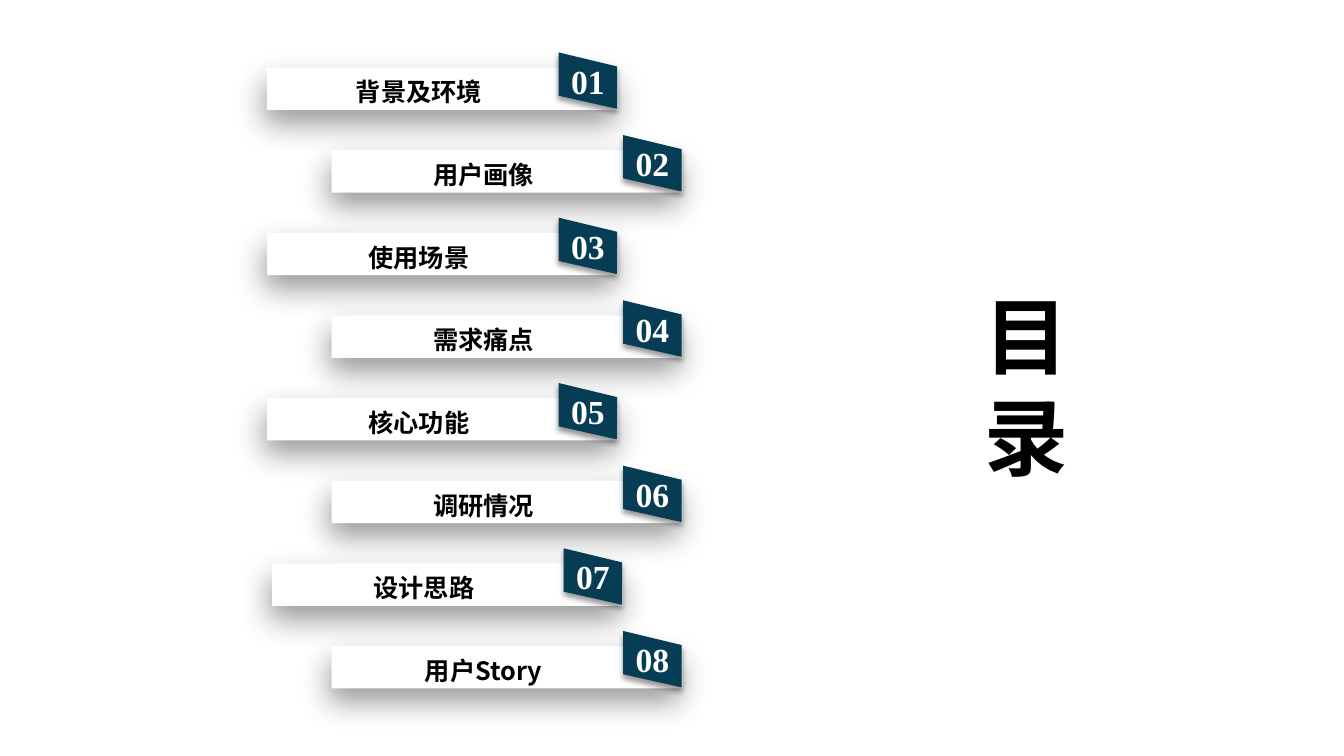
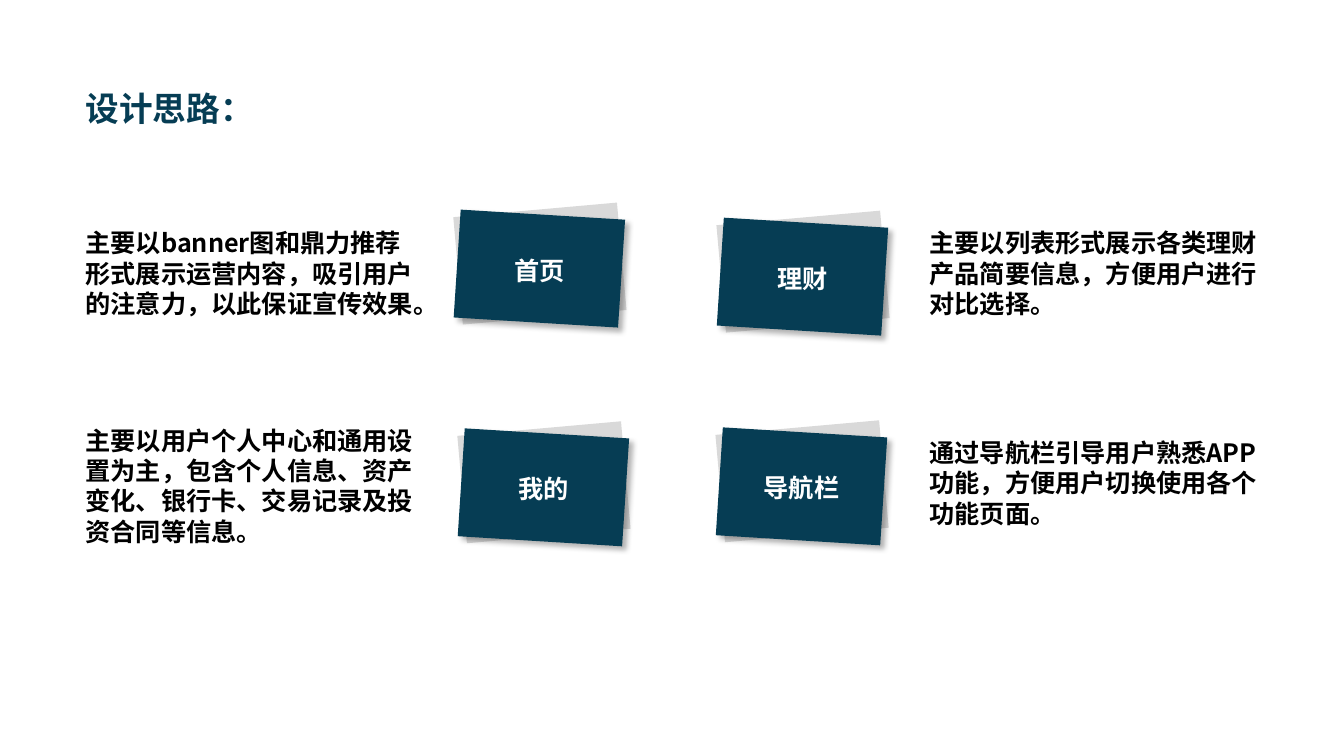
from lxml import etree
from pptx import Presentation
from pptx.dml.color import RGBColor
from pptx.enum.lang import MSO_LANGUAGE_ID
from pptx.enum.shapes import MSO_SHAPE
from pptx.enum.text import MSO_ANCHOR, MSO_AUTO_SIZE, PP_ALIGN
from pptx.oxml.ns import qn
from pptx.util import Pt

RECT = MSO_SHAPE.RECTANGLE
LEFT, CENTER = PP_ALIGN.LEFT, PP_ALIGN.CENTER
TOP, MIDDLE = MSO_ANCHOR.TOP, MSO_ANCHOR.MIDDLE
FIXED, GROW = MSO_AUTO_SIZE.NONE, MSO_AUTO_SIZE.SHAPE_TO_FIT_TEXT
CHINESE = MSO_LANGUAGE_ID.SIMPLIFIED_CHINESE

PX = 9144
SANS, SERIF = "Noto Sans CJK SC", "Times New Roman"
COLORS = {"navy": "063D54", "grey": "D9D9D9", "white": "FFFFFF", "black": "000000"}
SHADES = {
    "bar": (40, 22, 10, 101),
    "tag": (40, 4, 3, 90),
    "card": (30, 4, 4, 45),
    "title": (40, 4, 4, 45),
}
INSETS = (10, 5, 10, 5)
TAG = [(0, 0), (0, 43), (58, 56), (58, 14)]
CARD = [(163, 117), (0, 107), (7, 0), (170, 10)]

TOPICS = [
    (265, "背景及环境"), (329, "用户画像"), (265, "使用场景"), (329, "需求痛点"),
    (265, "核心功能"), (329, "调研情况"), (270, "设计思路"), (329, "用户Story"),
]
CARDS = [(450, 208, "首页"), (711, 216, "理财"), (454, 425, "我的"), (710, 424, "导航栏")]
NOTES = [
    (75, 221, 101, "主要以banner图和鼎力推荐形式展示运营内容，吸引用户的注意力，以此保证宣传效果。"),
    (912, 221, 101, "主要以列表形式展示各类理财产品简要信息，方便用户进行对比选择。"),
    (75, 417, 131, "主要以用户个人中心和通用设置为主，包含个人信息、资产变化、银行卡、交易记录及投资合同等信息。"),
    (912, 429, 101, "通过导航栏引导用户熟悉APP功能，方便用户切换使用各个功能页面。"),
]


def color(name):
    return RGBColor.from_string(COLORS[name])


def box(*sides):
    return [side * PX for side in sides]


def cast(effects, kind):
    alpha, blur, gap, angle = SHADES[kind]
    outer = etree.SubElement(
        effects, qn("a:outerShdw"), blurRad=str(blur * 12700), dist=str(gap * 12700),
        dir=str(angle * 60000), algn="ctr", rotWithShape="0")
    tone = etree.SubElement(outer, qn("a:srgbClr"), val=COLORS["black"])
    etree.SubElement(tone, qn("a:alpha"), val=str(alpha * 1000))


def paint(shape, fill, shade=None):
    shape.fill.solid()
    shape.fill.fore_color.rgb = color(fill)
    shape.line.fill.background()
    shape.shadow.inherit = False
    if shade:
        cast(shape.element.spPr.find(qn("a:effectLst")), shade)


def write(shape, text, size, tint, font=SANS, align=CENTER, anchor=MIDDLE,
          space=1.0, insets=INSETS, wrap=True, fit=FIXED):
    frame = shape.text_frame
    frame.text = text
    frame.word_wrap = wrap
    frame.auto_size = fit
    frame.vertical_anchor = anchor
    (frame.margin_left, frame.margin_top,
     frame.margin_right, frame.margin_bottom) = box(*insets)
    para = frame.paragraphs[0]
    para.alignment = align
    para.line_spacing = space
    run = para.runs[0]
    run.font.size = Pt(size)
    run.font.bold = True
    run.font.language_id = CHINESE
    run.font.color.rgb = color(tint)
    run.font.name = font
    latin = run.font._element.find(qn("a:latin"))
    latin.addnext(latin.makeelement(qn("a:ea"), typeface=font))
    return run


def place(shape, *sides):
    shape.left, shape.top, shape.width, shape.height = box(*sides)


def title(slide, sides, text, size, tint, **style):
    shape = slide.shapes.title
    place(shape, *sides)
    return write(shape, text, size, tint, align=LEFT, **style)


def plate(shapes, x, y, points, shade):
    spots = [(x + dx, y + dy) for dx, dy in points]
    pen = shapes.build_freeform(*spots[0], scale=PX)
    pen.add_line_segments(spots[1:], close=True)
    shape = pen.convert_to_shape()
    paint(shape, "navy", shade)
    return shape


def topic(slide, row, x, text):
    y = 67 + 82 * row
    bar = slide.shapes.add_shape(RECT, *box(x, y, 348, 42))
    paint(bar, "white", "bar")
    write(bar, text, 18, "black", space=1.2, insets=(12, 0, 59, 0))
    tag = plate(slide.shapes, x + 289, y - 15, TAG, "tag")
    write(tag, f"{row + 1:02}", 24, "white", font=SERIF)


def card(slide, x, y, text):
    group = slide.shapes.add_group_shape().shapes
    back = group.add_shape(RECT, *box(x + 4, y, 163, 107))
    back.rotation = 354.9
    paint(back, "grey")
    front = plate(group, x, y, CARD, "card")
    write(front, text, 18, "white", space=1.1)


def note(slide, x, y, height, text):
    shape = slide.shapes.add_textbox(*box(x, y, 346, height))
    write(shape, text, 18, "black", align=LEFT, anchor=TOP, fit=GROW)


def agenda(slide):
    run = title(slide, (966, 280, 103, 205), "目录", 60, "black")
    fill = run.font._element.find(qn("a:solidFill"))
    effects = fill.makeelement(qn("a:effectLst"))
    fill.addnext(effects)
    cast(effects, "title")
    for row, (x, text) in enumerate(TOPICS):
        topic(slide, row, x, text)


def design(slide):
    title(slide, (75, 62, 188, 64), "设计思路：", 24, "navy",
          anchor=TOP, space=1.5, wrap=False, fit=GROW)
    for spot in CARDS:
        card(slide, *spot)
    for spot in NOTES:
        note(slide, *spot)


def main():
    deck = Presentation()
    deck.slide_width, deck.slide_height = box(1333, 750)
    layout = deck.slide_layouts[5]
    for build in (agenda, design):
        build(deck.slides.add_slide(layout))
    deck.save("out.pptx")


if __name__ == "__main__":
    main()
